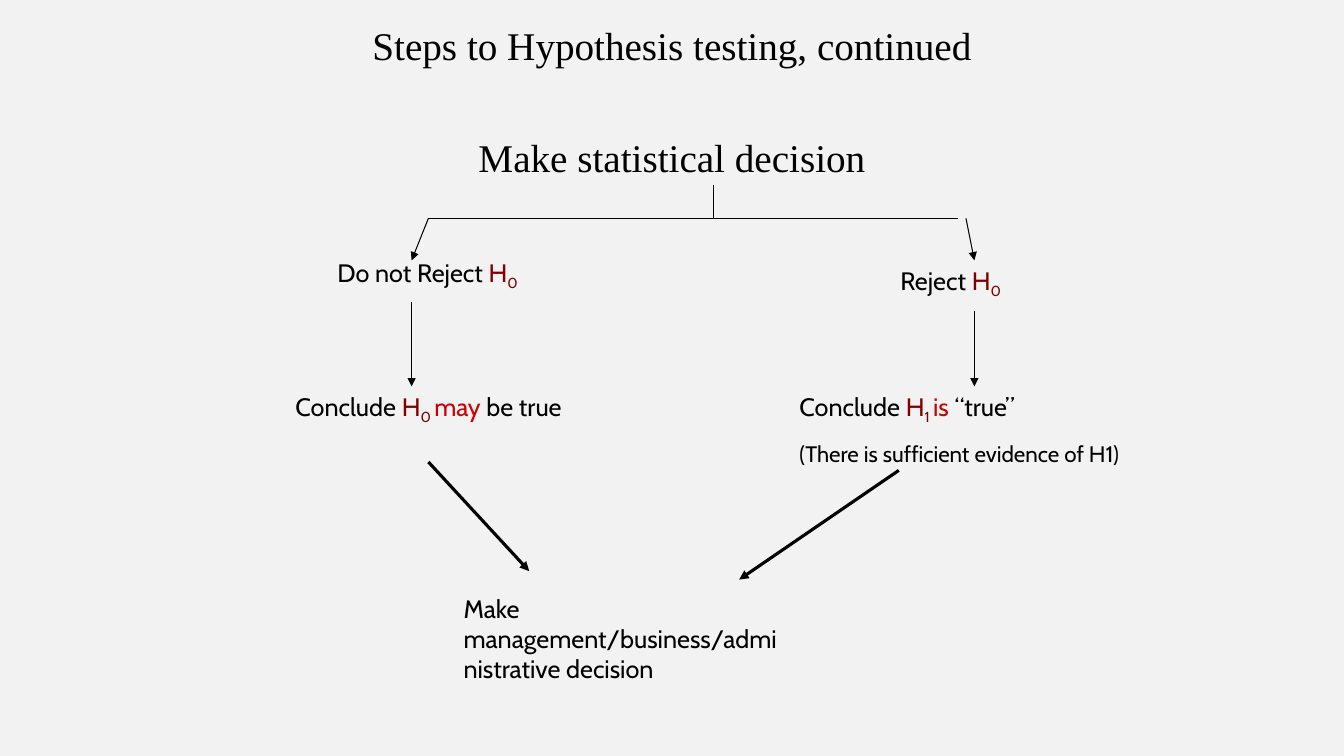
"""Build the hypothesis testing decision slide."""
from lxml.etree import SubElement
from pptx import Presentation
from pptx.dml.color import RGBColor
from pptx.enum.shapes import MSO_CONNECTOR
from pptx.enum.text import MSO_AUTO_SIZE, PP_ALIGN
from pptx.oxml.ns import qn
from pptx.util import Pt

BLACK, MAROON, RED, GREY = "000000", "800000", "CC0000", "F2F2F2"
H = ("H", {"color": MAROON})


def sub(text):
    return text, {"color": MAROON, "base": -25}


HEADS = [[("Steps to Hypothesis testing, continued", {})],
         [("Make statistical decision", {})]]
HEAD_BOX = (174, 12, 612, 504)

NOTES = [
    ((234, 180, 186, 28.8), [[("Do not Reject ", {}), H, sub("0")]]),
    ((636, 186, 114, 28.8), [[("Reject ", {}), H, sub("0")]]),
    ((204, 276, 252, 28.8), [[("Conclude ", {}), H, sub("0 "),
                              ("may", {"color": RED}), (" be true", {})]]),
    ((324, 420, 240, 72.8), [[("Make management/business/administrative decision", {})]]),
    ((564, 276, 252, 58.4), [[("Conclude ", {}), H, sub("1 "),
                              ("is", {"color": RED}), (" “true”", {})],
                             [("(There is sufficient evidence of H1)", {"size": 16})]]),
]

THIN, THICK = 0.75, 2.25
LINES = [
    ((510, 132, 510, 156), THIN, False),
    ((306, 156, 684, 156), THIN, False),
    ((306, 156, 294, 186), THIN, True),
    ((690, 156, 696, 186), THIN, True),
    ((294, 216, 294, 276), THIN, True),
    ((696, 222, 696, 276), THIN, True),
    ((306, 330, 378, 408), THICK, True),
    ((642, 336, 528, 414), THICK, True),
]


def paint(target, color):
    target.rgb = RGBColor.from_string(color)


def write(para, text, size=18, font="Cabin", color=BLACK, base=0):
    run = para.add_run()
    run.text = text
    run.font.size = Pt(size)
    run.font.name = font
    paint(run.font.color, color)
    if base:
        run.font._element.set("baseline", str(base * 1000))


def place(slide, box, paras, gap, align=PP_ALIGN.LEFT, grow=True, **style):
    frame = slide.shapes.add_textbox(*map(Pt, box)).text_frame
    frame.word_wrap = True
    frame.auto_size = MSO_AUTO_SIZE.SHAPE_TO_FIT_TEXT if grow else MSO_AUTO_SIZE.NONE
    for i, runs in enumerate(paras):
        para = frame.add_paragraph() if i else frame.paragraphs[0]
        para.alignment = align
        para.space_before = Pt(gap if i else 0)
        for text, extra in runs:
            write(para, text, **{**style, **extra})


def draw(slide, ends, width, arrow):
    line = slide.shapes.add_connector(MSO_CONNECTOR.STRAIGHT, *map(Pt, ends))
    line.line.width = Pt(width)
    paint(line.line.color, BLACK)
    if arrow:
        SubElement(line.line._get_or_add_ln(), qn("a:tailEnd"), type="triangle")
    SubElement(line._element.spPr, qn("a:effectLst"))


def main():
    deck = Presentation()
    deck.slide_width, deck.slide_height = Pt(960), Pt(540)
    slide = deck.slides.add_slide(deck.slide_layouts[6])
    fill = slide.background.fill
    fill.solid()
    paint(fill.fore_color, GREY)
    place(slide, HEAD_BOX, HEADS, 46.4, PP_ALIGN.CENTER, False,
          size=28, font="Times New Roman")
    for ends, width, arrow in LINES:
        draw(slide, ends, width, arrow)
    for box, paras in NOTES:
        place(slide, box, paras, 10)
    deck.save("out.pptx")


if __name__ == "__main__":
    main()
